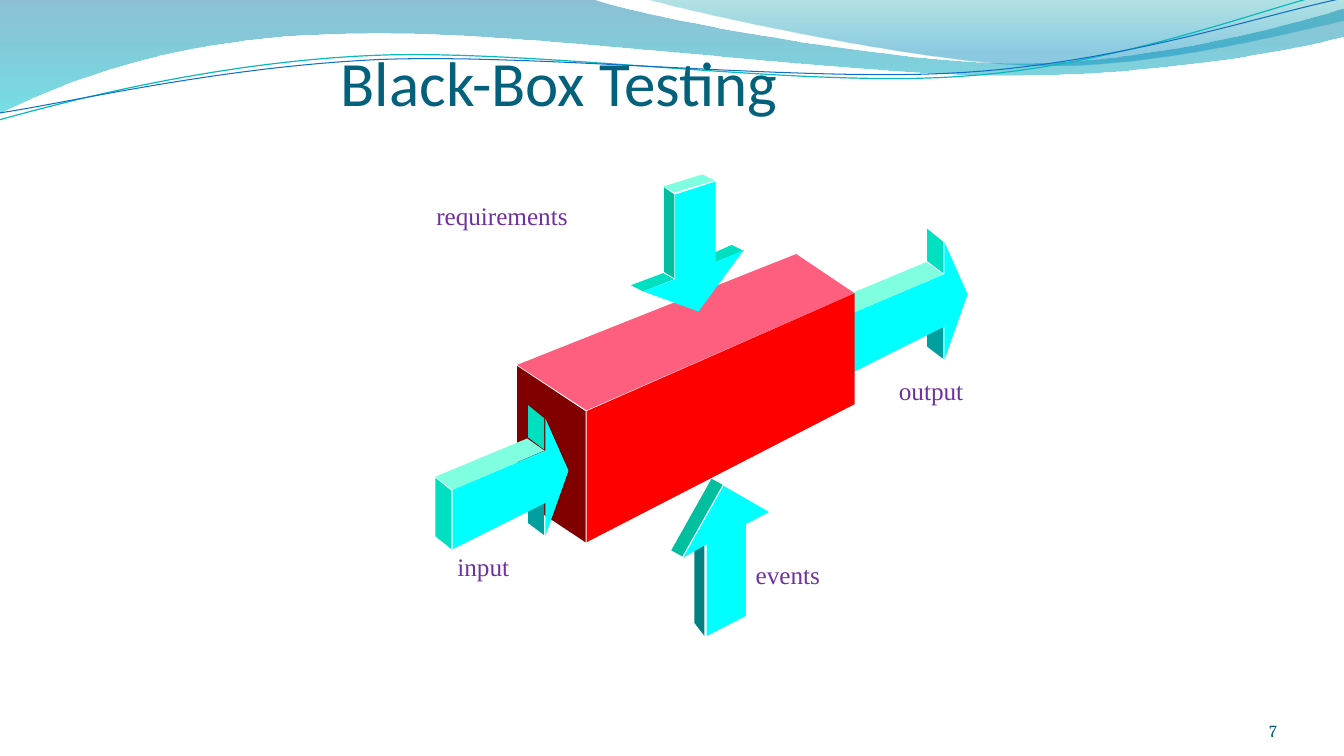
from dataclasses import dataclass, field
from typing import Any

from lxml.etree import SubElement
from pptx import Presentation
from pptx.dml.color import RGBColor
from pptx.enum.text import MSO_ANCHOR, MSO_AUTO_SIZE, PP_ALIGN
from pptx.oxml.ns import qn
from pptx.shapes.autoshape import Shape
from pptx.slide import Slide
from pptx.text.text import TextFrame
from pptx.util import Cm, Pt

Point = tuple[float, float]
Segment = tuple[float, ...]
INCH = 2.54
CURVE_STEPS = 24


@dataclass(frozen=True)
class Theme:
    title: str = "04617B"
    page_number: str = "045D75"
    label: str = "7030A0"
    cyan: str = "00FFFF"
    mint: str = "7FFFDF"
    turquoise: str = "00DFBF"
    jade: str = "00BF9F"
    teal: str = "009F9F"
    deep_teal: str = "008080"
    red: str = "FF0000"
    pink: str = "FF5F7F"
    maroon: str = "800000"
    title_size: int = 45
    label_size: int = 18
    page_number_size: int = 12
    title_font: str = "Calibri"
    label_font: str = "Times New Roman"
    page_number_font: str = "Cambria"


@dataclass(frozen=True)
class Stop:
    position: float
    color: str
    opacity: int


@dataclass(frozen=True)
class Swoosh:
    outline: list[Segment]
    stops: tuple[Stop, Stop]


@dataclass(frozen=True)
class Strand:
    outline: list[Segment]
    color: str
    width: float


@dataclass(frozen=True)
class Face:
    color: str
    corners: list[Point]


@dataclass(frozen=True)
class Solid:
    faces: list[Face]
    offset: Point = (0, 0)


@dataclass(frozen=True)
class Label:
    words: str
    box: tuple[float, float, float, float]
    color: str
    size: int
    font: str
    frame: dict[str, Any] = field(default_factory=dict)
    align: PP_ALIGN = PP_ALIGN.LEFT


THEME = Theme()

SWOOSHES = [
    Swoosh([(0, 0), (5.87, -0.01), (6.34, 0.17, 8.85, 0.63, 10.11, 0.63),
            (11.38, 0.63, 12.78, 0.26, 13.33, 0.09), (13.35, 0.36),
            (13.11, 0.44, 11.6, 0.76, 9.94, 0.75), (8.29, 0.75, 5.09, 0.28, 3.43, 0.34),
            (1.72, 0.36, 0.61, 0.83, -0.01, 1.13)],
           (Stop(0, "0074A1", 45), Stop(1, "00C6CF", 55))),
    Swoosh([(6.39, -0.01), (6.79, 0.11, 9.09, 0.62, 10.25, 0.65),
            (11.41, 0.69, 12.82, 0.32, 13.33, 0.21), (13.33, 0)],
           (Stop(0, "00A1A9", 30), Stop(0.8, "008BBF", 45))),
]
STRANDS = [
    Strand([(-0.01, 1.19), (0.64, 1.01, 2.11, 0.62, 3.69, 0.55),
            (5.27, 0.48, 7.9, 0.87, 9.5, 0.76), (11.1, 0.66, 12.52, 0.08, 13.31, -0.1)],
           "0AB8BF", 0.85),
    Strand([(0, 1.12), (0.63, 1.03, 2.18, 0.66, 3.78, 0.59),
            (5.37, 0.53, 7.96, 0.82, 9.55, 0.72), (11.15, 0.62, 12.55, 0.14, 13.34, -0.02)],
           "0F6FC6", 0.75),
]

FLOW_ARROW = [
    Face(THEME.teal, [(5.4, 5.31), (5.4, 5), (5.24, 4.87), (5.24, 5.19)]),
    Face(THEME.cyan, [(5.41, 4.47), (4.49, 4.86), (4.49, 5.45), (5.41, 4.99),
                      (5.41, 5.32), (5.64, 4.67), (5.41, 4.15)]),
    Face(THEME.turquoise, [(4.48, 4.87), (4.48, 5.45), (4.32, 5.32), (4.32, 4.74)]),
    Face(THEME.mint, [(4.32, 4.73), (4.49, 4.86), (5.4, 4.47), (5.23, 4.35)]),
    Face(THEME.turquoise, [(5.4, 4.15), (5.24, 4.02), (5.24, 4.34), (5.4, 4.46)]),
]
EVENTS_ARROW = [
    Face(THEME.deep_teal, [(6.99, 6.31), (6.99, 5.4), (6.89, 5.34), (6.89, 6.18)]),
    Face(THEME.cyan, [(7.18, 4.82), (7.63, 5.08), (7.4, 5.2), (7.4, 6.11),
                      (7.01, 6.31), (7.01, 5.4), (6.78, 5.53)]),
    Face(THEME.jade, [(6.77, 5.52), (6.66, 5.46), (7.06, 4.75), (7.17, 4.81)]),
]
BLACK_BOX = [
    Face(THEME.maroon, [(5.13, 3.63), (5.81, 4.08), (5.81, 5.38), (5.13, 4.93)]),
    Face(THEME.pink, [(5.13, 3.62), (5.82, 4.07), (8.48, 2.91), (7.9, 2.52)]),
    Face(THEME.red, [(5.82, 4.08), (5.82, 5.38), (8.48, 4.01), (8.48, 2.91)]),
]
REQUIREMENTS_ARROW = [
    Face(THEME.mint, [(6.58, 1.85), (6.69, 1.91), (7.09, 1.79), (6.97, 1.73)]),
    Face(THEME.turquoise, [(7.1, 2.6), (7.38, 2.49), (7.26, 2.43), (6.99, 2.55)]),
    Face(THEME.cyan, [(6.7, 1.93), (7.1, 1.8), (7.1, 2.6), (7.38, 2.48),
                      (6.93, 3.09), (6.38, 2.89), (6.7, 2.77)]),
    Face(THEME.turquoise, [(6.38, 2.89), (6.26, 2.83), (6.58, 2.71), (6.69, 2.77)]),
    Face(THEME.jade, [(6.59, 2.7), (6.69, 2.76), (6.69, 1.93), (6.59, 1.86)]),
]
SOLIDS = [Solid(FLOW_ARROW, (3.96, -1.75)), Solid(EVENTS_ARROW), Solid(BLACK_BOX),
          Solid(REQUIREMENTS_ARROW), Solid(FLOW_ARROW)]

TITLE = Label("Black-Box Testing", (3.28, 0.64, 7.03, 0.33), THEME.title, THEME.title_size,
              THEME.title_font, {"vertical_anchor": MSO_ANCHOR.MIDDLE, "word_wrap": True,
                                 "auto_size": MSO_AUTO_SIZE.NONE})
MARGINS = ("margin_left", "margin_top", "margin_right", "margin_bottom")
PAGE_NUMBER = Label("7", (11.56, 6.95, 1.11, 0.4), THEME.page_number, THEME.page_number_size,
                    THEME.page_number_font,
                    {"vertical_anchor": MSO_ANCHOR.BOTTOM, "word_wrap": True,
                     **dict.fromkeys(MARGINS, 0)}, PP_ALIGN.RIGHT)
CAPTIONS = [
    Label(words, (left, top, width, 0.4), THEME.label, THEME.label_size, THEME.label_font,
          {"word_wrap": False, "auto_size": MSO_AUTO_SIZE.SHAPE_TO_FIT_TEXT})
    for words, left, top, width in [("requirements", 4.23, 1.94, 1.52), ("events", 7.4, 5.5, 0.84),
                                    ("input", 4.44, 5.42, 0.72), ("output", 8.82, 3.67, 0.84)]
]


def apply(target: Any, values: dict[str, Any]) -> None:
    for name, value in values.items():
        setattr(target, name, value)


def flatten(outline: list[Segment]) -> list[Point]:
    points: list[Point] = [(outline[0][0], outline[0][1])]
    for segment in outline[1:]:
        if len(segment) == 2:
            points.append((segment[0], segment[1]))
            continue
        controls = [points[-1], segment[:2], segment[2:4], segment[4:]]
        for step in range(1, CURVE_STEPS + 1):
            t = step / CURVE_STEPS
            weights = ((1 - t) ** 3, 3 * t * (1 - t) ** 2, 3 * t * t * (1 - t), t ** 3)
            x, y = (sum(w * c[axis] for w, c in zip(weights, controls)) for axis in (0, 1))
            points.append((x, y))
    return points


def draw_outline(slide: Slide, points: list[Point], closed: bool = True) -> Shape:
    start, *rest = [(Cm(x * INCH), Cm(y * INCH)) for x, y in points]
    builder = slide.shapes.build_freeform(*start)
    builder.add_line_segments(rest, close=closed)
    outline = builder.convert_to_shape()
    outline.shadow.inherit = False
    outline.line.fill.background()
    return outline


def draw_swoosh(slide: Slide, swoosh: Swoosh) -> None:
    band = draw_outline(slide, flatten(swoosh.outline))
    band.fill.gradient()
    band.fill.gradient_angle = 270
    for gradient_stop, stop in zip(band.fill.gradient_stops, swoosh.stops):
        gradient_stop.color.rgb = RGBColor.from_string(stop.color)
        gradient_stop.position = stop.position
    for color, stop in zip(band.element.iter(qn("a:srgbClr")), swoosh.stops):
        SubElement(color, qn("a:alpha")).set("val", str(stop.opacity * 1000))


def draw_strand(slide: Slide, strand: Strand) -> None:
    curve = draw_outline(slide, flatten(strand.outline), closed=False)
    curve.fill.background()
    curve.line.color.rgb = RGBColor.from_string(strand.color)
    curve.line.width = Pt(strand.width)


def draw_solid(slide: Slide, solid: Solid) -> None:
    dx, dy = solid.offset
    sides = []
    for face in solid.faces:
        side = draw_outline(slide, [(x + dx, y + dy) for x, y in face.corners])
        side.fill.solid()
        side.fill.fore_color.rgb = RGBColor.from_string(face.color)
        sides.append(side)
    slide.shapes.add_group_shape(sides)


def write(frame: TextFrame, label: Label) -> None:
    apply(frame, label.frame)
    paragraph = frame.paragraphs[0]
    paragraph.alignment = label.align
    run = paragraph.add_run()
    run.text = label.words
    apply(run.font, {"size": Pt(label.size), "name": label.font})
    run.font.color.rgb = RGBColor.from_string(label.color)


def draw_label(slide: Slide, label: Label) -> None:
    write(slide.shapes.add_textbox(*(Cm(v * INCH) for v in label.box)).text_frame, label)


def place_title(slide: Slide, label: Label) -> None:
    title = slide.shapes.title
    edges = ("left", "top", "width", "height")
    apply(title, {edge: Cm(v * INCH) for edge, v in zip(edges, label.box)})
    write(title.text_frame, label)
    title.element.getparent().append(title.element)


def main() -> None:
    deck = Presentation()
    apply(deck, {"slide_width": Cm(33.87), "slide_height": Cm(19.05)})
    slide = deck.slides.add_slide(deck.slide_layouts[5])
    for swoosh in SWOOSHES:
        draw_swoosh(slide, swoosh)
    for strand in STRANDS:
        draw_strand(slide, strand)
    place_title(slide, TITLE)
    for solid in SOLIDS:
        draw_solid(slide, solid)
    for label in [PAGE_NUMBER, *CAPTIONS]:
        draw_label(slide, label)
    deck.save("out.pptx")


if __name__ == "__main__":
    main()
